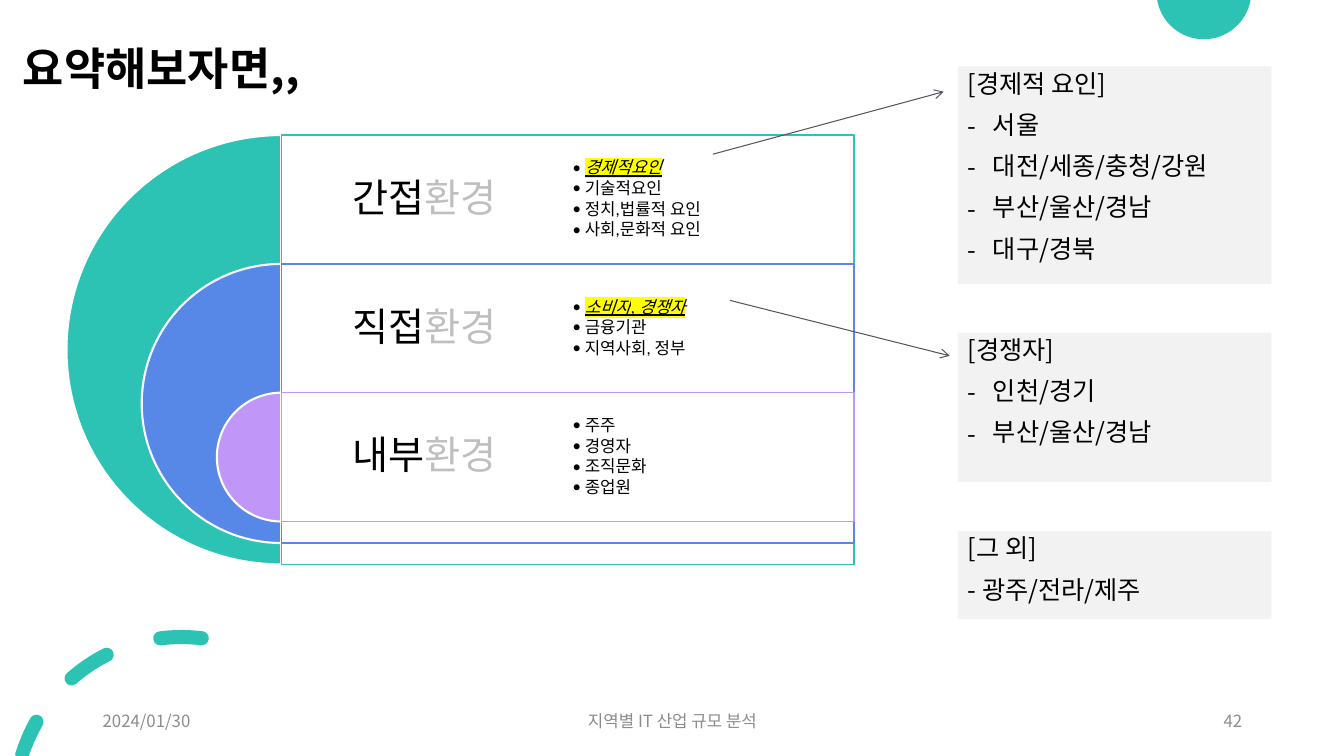
from math import cos, radians, sin, tan

from lxml.etree import SubElement
from pptx import Presentation
from pptx.dml.color import RGBColor
from pptx.enum.shapes import MSO_CONNECTOR, MSO_SHAPE
from pptx.enum.text import MSO_ANCHOR, PP_ALIGN
from pptx.oxml.ns import qn
from pptx.util import Inches, Pt

COLORS = {
    "teal": "2CC3B4", "blue": "5888E7", "purple": "C097F8", "white": "FFFFFF",
    "black": "000000", "pale": "BFBFBF", "footer": "8C8C8C", "panel": "F2F2F2",
    "arrow": "5B5260", "mark": "FFFF00",
}
NOTO = "Noto Sans CJK KR"
LEFT, CENTER, RIGHT = PP_ALIGN.LEFT, PP_ALIGN.CENTER, PP_ALIGN.RIGHT


def rgb(name):
    return RGBColor.from_string(COLORS[name])


def add_text(p, text, size=12, font=NOTO, color="black", bold=False, marked=False):
    r = p.add_run()
    r.text = text
    f = r.font
    f.size, f.name, f.bold = Pt(size), font, bold
    f.italic = f.underline = marked
    f.color.rgb = rgb(color)
    if marked:
        mark = SubElement(r._r.rPr, qn("a:highlight"))
        SubElement(mark, qn("a:srgbClr")).set("val", COLORS["mark"])
        r._r.rPr.find(qn("a:solidFill")).addnext(mark)
    ea = SubElement(r._r.rPr, qn("a:ea"))
    ea.set("typeface", font)


class Slide:
    def __init__(self, prs):
        self.slide = prs.slides.add_slide(prs.slide_layouts[6])
        self.shapes = self.slide.shapes

    def style(self, sp, fill, line=None, width=1.0, alpha=None):
        sp.shadow.inherit = False
        sp.fill.solid()
        sp.fill.fore_color.rgb = rgb(fill)
        if alpha:
            clr = sp._element.spPr.find(qn("a:solidFill"))[0]
            SubElement(clr, qn("a:alpha")).set("val", str(alpha * 1000))
        if line:
            sp.line.color.rgb = rgb(line)
            sp.line.width = Pt(width)
        else:
            sp.line.fill.background()
        return sp

    def shape(self, kind, x, y, w, h, fill, **fmt):
        sp = self.shapes.add_shape(kind, Inches(x), Inches(y), Inches(w), Inches(h))
        return self.style(sp, fill, **fmt)

    def curves(self, contours, fill):
        emu = [[(Inches(x), Inches(y)) for x, y in c] for c in contours]
        fb = self.shapes.build_freeform(*emu[0][0])
        fb.add_line_segments(emu[0][1:], close=True)
        for contour in emu[1:]:
            fb.move_to(*contour[0])
            fb.add_line_segments(contour[1:], close=True)
        sp = self.style(fb.convert_to_shape(), fill)
        lines = list(sp._element.iter(qn("a:lnTo")))
        for first, second, third in zip(lines[::3], lines[1::3], lines[2::3]):
            first.tag = qn("a:cubicBezTo")
            for line in (second, third):
                first.append(line[0])
                line.getparent().remove(line)

    def half_disc(self, x, y, size, color):
        sp = self.shape(MSO_SHAPE.PIE, x, y, size, size, color, line="white", width=1.5)
        sp.adjustments[0], sp.adjustments[1] = 54, 162

    def box(self, x, y, w, h, inset=None):
        sp = self.shapes.add_textbox(Inches(x), Inches(y), Inches(w), Inches(h))
        tf = sp.text_frame
        tf.word_wrap = True
        tf.vertical_anchor = MSO_ANCHOR.MIDDLE
        if inset:
            tf.margin_left = tf.margin_right = Inches(inset)
            tf.margin_top = tf.margin_bottom = Inches(inset)
        return tf

    def label(self, x, y, w, h, text, align=LEFT, spacing=1.0, **fmt):
        p = self.box(x, y, w, h).paragraphs[0]
        p.alignment, p.line_spacing = align, spacing
        add_text(p, text, **fmt)

    def paragraph(self, tf, first, bullet=None, font=NOTO, indent=0, before=0, after=0):
        p = tf.paragraphs[0] if first else tf.add_paragraph()
        if bullet:
            pPr = p._p.get_or_add_pPr()
            pPr.set("marL", str(Inches(indent)))
            pPr.set("indent", str(-Inches(indent)))
            SubElement(pPr, qn("a:buFont")).set("typeface", font)
            SubElement(pPr, qn("a:buChar")).set("char", bullet)
        p.alignment, p.line_spacing = LEFT, 0.9
        p.space_before = Pt(0 if first else before)
        p.space_after = Pt(after)
        return p

    def bullets(self, x, y, w, h, items, marked):
        tf = self.box(x, y, w, h, inset=0.05)
        for i, item in enumerate(items):
            p = self.paragraph(tf, i == 0, "•", "Calibri", 0.12, after=1.8)
            add_text(p, item, font="Calibri", marked=marked and i == 0)

    def panel(self, y, h, heading, items, bullet="-"):
        sp = self.shape(MSO_SHAPE.RECTANGLE, 9.5, y, 3.11, h, "panel")
        tf = sp.text_frame
        tf.word_wrap = True
        tf.vertical_anchor = MSO_ANCHOR.TOP
        add_text(self.paragraph(tf, True), heading, size=18)
        for item in items:
            p = self.paragraph(tf, False, bullet, indent=0.25, before=10)
            add_text(p, item, size=18)

    def arrow(self, x1, y1, x2, y2):
        c = self.shapes.add_connector(
            MSO_CONNECTOR.STRAIGHT, Inches(x1), Inches(y1), Inches(x2), Inches(y2))
        c.line.color.rgb = rgb("arrow")
        c.line.width = Pt(0.75)
        SubElement(c.line._get_or_add_ln(), qn("a:tailEnd")).set("type", "arrow")
        SubElement(c._element.spPr, qn("a:effectLst"))


def arc(cx, cy, radius, start, end):
    a, b = radians(start), radians(end)
    k = 4 / 3 * tan((b - a) / 4)
    units = [(cos(a), sin(a)), (cos(a) - k * sin(a), sin(a) + k * cos(a)),
             (cos(b) + k * sin(b), sin(b) - k * cos(b)), (cos(b), sin(b))]
    return [(cx + radius * x, cy + radius * y) for x, y in units]


def dash(start, end, cx=1.8, cy=7.97, radius=1.65, half=0.07):
    middle = arc(cx, cy, radius, start, end)
    tip, tail = middle[0], middle[-1]
    points = (arc(cx, cy, radius + half, start, end)
              + arc(*tail, half, end, end + 90)[1:]
              + arc(*tail, half, end + 90, end + 180)[1:]
              + arc(cx, cy, radius - half, end, start)[1:]
              + arc(*tip, half, start + 180, start + 270)[1:]
              + arc(*tip, half, start + 270, start + 360)[1:])
    return [(x, min(y, 7.5)) for x, y in points]


def main():
    prs = Presentation()
    prs.slide_width, prs.slide_height = Inches(13.33), Inches(7.5)
    s = Slide(prs)

    disc = (11.94, -0.08, 0.47)
    s.curves([arc(*disc, 10, 90) + arc(*disc, 90, 170)[1:]], "teal")
    s.curves([dash(196.5, 209.4), dash(228.7, 243.3), dash(262.7, 277)], "teal")

    for x, w, text, align in [(0.92, 3, "2024/01/30", LEFT),
                              (4.42, 4.5, "지역별 IT 산업 규모 분석", CENTER),
                              (9.42, 3, "42", RIGHT)]:
        s.label(x, 6.95, w, 0.4, text, align, color="footer")

    environments = [
        ("간접", "teal", 1, True,
         ["경제적요인", "기술적요인", "정치,법률적 요인", "사회,문화적 요인"]),
        ("직접", "blue", 0.65, True, ["소비자, 경쟁자", "금융기관", "지역사회, 정부"]),
        ("내부", "purple", 0.3, False, ["주주", "경영자", "조직문화", "종업원"]),
    ]
    left, column, height = 2.79, 2.84, 4.26
    row = 0.3 * height
    for i, (name, color, share, marked, items) in enumerate(environments):
        y, size = 1.34 + i * row, share * height
        s.half_disc(left - size / 2, y, size, color)
        s.shape(MSO_SHAPE.RECTANGLE, left, y, 2 * column, size, "white",
                line=color, alpha=90)
        p = s.box(left, y, column, row, inset=0.12).paragraphs[0]
        p.alignment, p.line_spacing = CENTER, 0.9
        add_text(p, name, size=28, font="Calibri")
        add_text(p, "환경", size=28, font="Calibri", color="pale")
        s.bullets(left + column, y, column, row, items, marked)

    s.panel(0.66, 2.16, "[경제적 요인]",
            ["서울", "대전/세종/충청/강원", "부산/울산/경남", "대구/경북"])
    s.panel(3.3, 1.48, "[경쟁자]", ["인천/경기", "부산/울산/경남"])
    s.panel(5.27, 0.87, "[그 외]", ["- 광주/전라/제주"], bullet=None)

    s.arrow(7.07, 1.53, 9.36, 0.91)
    s.arrow(7.24, 2.98, 9.42, 3.53)
    s.label(0.13, 0.05, 3.16, 0.97, "요약해보자면,,", spacing=1.5, size=32, bold=True)

    prs.save("out.pptx")


if __name__ == "__main__":
    main()
